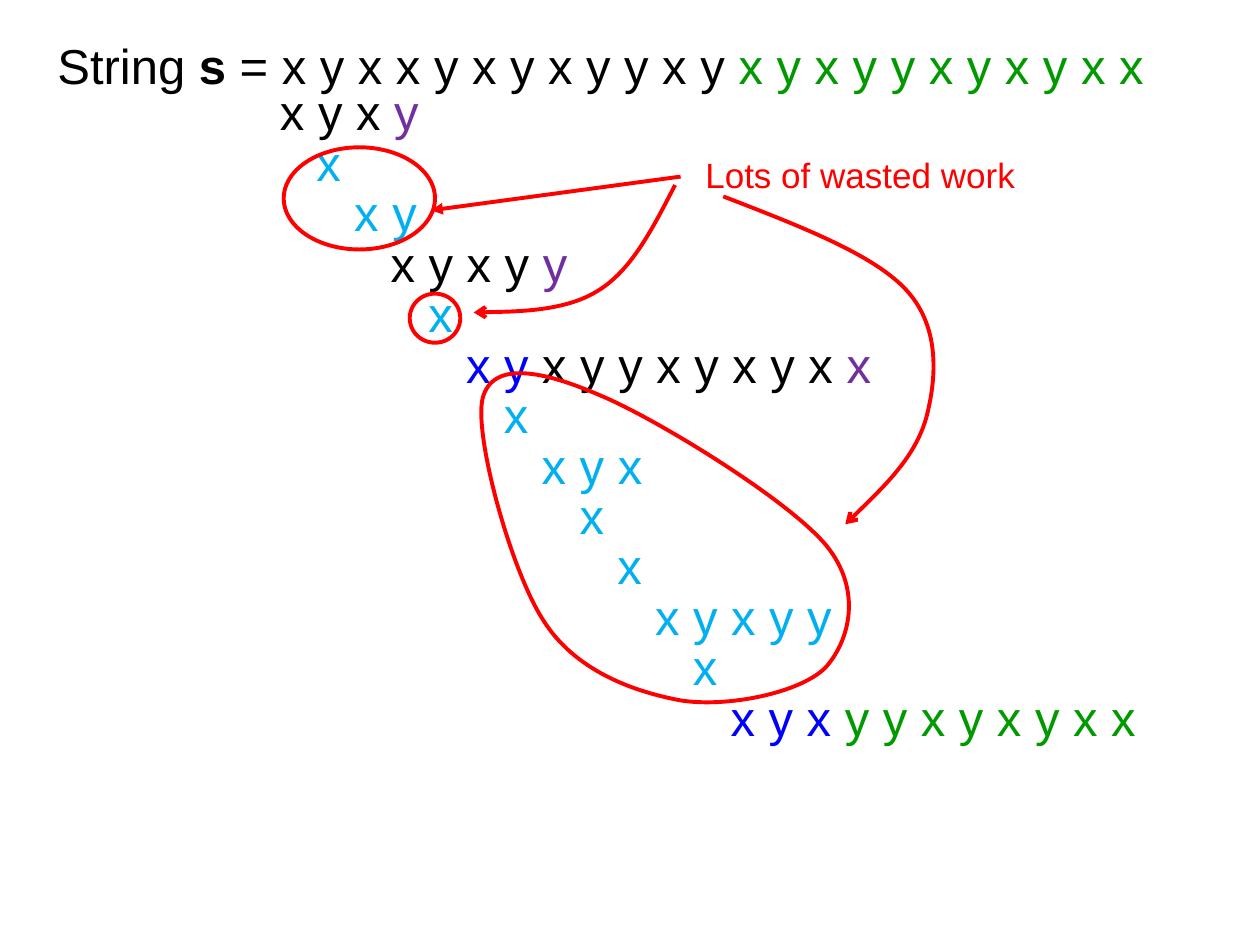
from dataclasses import dataclass

from lxml import etree
from pptx import Presentation
from pptx.dml.color import RGBColor
from pptx.enum.shapes import MSO_CONNECTOR, MSO_SHAPE
from pptx.enum.text import MSO_ANCHOR, MSO_AUTO_SIZE, PP_ALIGN
from pptx.oxml.ns import qn
from pptx.util import Cm, Pt

STRAIGHT = MSO_CONNECTOR.STRAIGHT
OVAL = MSO_SHAPE.OVAL
MIDDLE = MSO_ANCHOR.MIDDLE
GROW = MSO_AUTO_SIZE.SHAPE_TO_FIT_TEXT
LEFT, RIGHT = PP_ALIGN.LEFT, PP_ALIGN.RIGHT
BLANK_LAYOUT = 6
SAMPLES = 24


@dataclass(frozen=True)
class Theme:
    font: str = "Arial"
    string_size: float = 28
    label_size: float = 20
    line_width: float = 2.25
    plain: str = "000000"
    mismatch: str = "7030A0"
    unseen: str = "009900"
    wasted: str = "00B0F0"
    known: str = "0000FF"
    mark: str = "FF0000"


THEME = Theme()


@dataclass(frozen=True)
class Span:
    text: str
    color: str = THEME.plain
    bold: bool = False


@dataclass(frozen=True)
class Attempt:
    """One alignment of the pattern below the searched string."""
    spans: tuple[Span, ...]
    align: PP_ALIGN = LEFT


@dataclass(frozen=True)
class Curve:
    """Bezier points in cm: the start, then two handles and an end per piece."""
    points: tuple[tuple[float, float], ...]
    closed: bool = False
    arrow: bool = False


WASTED_X = Attempt((Span("x", THEME.wasted),))
TITLE = (
    Span("String "), Span("s", bold=True), Span(" = x y x x y x y x y y x y "),
    Span("x y x y y x y x y x x", THEME.unseen),
)
FIRST_ATTEMPT = (Span("x y x "), Span("y", THEME.mismatch))
ATTEMPTS = (
    Attempt((Span("x", THEME.wasted),), RIGHT),
    Attempt((Span("x y", THEME.wasted),), RIGHT),
    Attempt((Span("x y x y "), Span("y", THEME.mismatch))),
    WASTED_X,
    Attempt((Span("x y ", THEME.known), Span("x y y x y x y x "), Span("x", THEME.mismatch))),
    WASTED_X,
    Attempt((Span("x y x", THEME.wasted),)),
    WASTED_X,
    WASTED_X,
    Attempt((Span("x y x y y", THEME.wasted),)),
    WASTED_X,
    Attempt((Span("x y x ", THEME.known), Span("y y x y x y x x", THEME.unseen))),
)
STAIR_START, STAIR_END = (6.1, 2.54), (14.48, 13.72)
ONE_LETTER_WIDTH, LETTER_PITCH, ROW_HEIGHT = 1.02, 0.77, 1.45

CIRCLES = ((8.26, 5.92, 1.02, 0.99), (5.72, 2.97, 3.05, 2.06))
CURVES = (
    Curve(((13.61, 3.73), (13.16, 4.6), (12.73, 5.46), (12.04, 5.87),
           (11.35, 6.3), (9.55, 6.3), (9.55, 6.3)), arrow=True),
    Curve(((14.58, 3.96), (16.1, 4.55), (17.63, 5.13), (18.29, 5.87),
           (18.97, 6.63), (18.87, 7.67), (18.67, 8.43),
           (18.44, 9.22), (17.75, 9.88), (17.04, 10.57)), arrow=True),
    Curve(((9.73, 8.03), (9.93, 7.26), (10.95, 7.47), (12.12, 7.98),
           (13.26, 8.46), (15.9, 10.08), (16.66, 11),
           (17.4, 11.91), (17.12, 12.93), (16.64, 13.46),
           (16.13, 13.97), (14.66, 14.27), (13.72, 14.12),
           (12.75, 13.94), (11.58, 13.51), (10.95, 12.5),
           (10.29, 11.48), (9.55, 8.76), (9.73, 8.03)), closed=True),
)


def add_text(slide, spans: tuple[Span, ...], *, left: float, top: float, width: float,
             height: float = ROW_HEIGHT, size: float = THEME.string_size,
             align: PP_ALIGN = LEFT) -> None:
    box = slide.shapes.add_textbox(Cm(left), Cm(top), Cm(width), Cm(height))
    frame = box.text_frame
    frame.word_wrap = False
    frame.auto_size = GROW
    frame.vertical_anchor = MIDDLE
    para = frame.paragraphs[0]
    para.alignment = align
    for span in spans:
        run = para.add_run()
        run.text = span.text
        run.font.name = THEME.font
        run.font.size = Pt(size)
        run.font.bold = span.bold
        run.font.color.rgb = RGBColor.from_string(span.color)


def style_line(shape, arrowhead: str | None = None) -> None:
    shape.line.color.rgb = RGBColor.from_string(THEME.mark)
    shape.line.width = Pt(THEME.line_width)
    if arrowhead:
        etree.SubElement(shape.line._get_or_add_ln(), qn("a:tailEnd"), type=arrowhead)


def style_outline(shape, arrowhead: str | None = None) -> None:
    shape.shadow.inherit = False
    shape.fill.background()
    style_line(shape, arrowhead)


def add_arrow(slide, start: tuple[float, float], end: tuple[float, float]) -> None:
    arrow = slide.shapes.add_connector(STRAIGHT, *map(Cm, start + end))
    style_line(arrow, "triangle")
    etree.SubElement(arrow._element.spPr, qn("a:effectLst"))


def bezier_point(piece: list[tuple[int, int]], t: float) -> tuple[int, int]:
    weights = ((1 - t) ** 3, 3 * t * (1 - t) ** 2, 3 * t ** 2 * (1 - t), t ** 3)
    x, y = (round(sum(w * p[axis] for w, p in zip(weights, piece))) for axis in (0, 1))
    return x, y


def add_curve(slide, curve: Curve) -> None:
    """Size a freeform by points on the curve, then give it true Bezier pieces."""
    points = [(Cm(x), Cm(y)) for x, y in curve.points]
    pieces = [points[i:i + 4] for i in range(0, len(points) - 1, 3)]
    builder = slide.shapes.build_freeform(*points[0])
    builder.add_line_segments(
        [bezier_point(piece, step / SAMPLES) for piece in pieces
         for step in range(1, SAMPLES + 1)], close=curve.closed)
    shape = builder.convert_to_shape()
    outline = shape._element.find(".//" + qn("a:path"))
    for command in list(outline):
        outline.remove(command)

    def add_command(tag: str, stops: list[tuple[int, int]]) -> None:
        command = etree.SubElement(outline, qn(tag))
        for x, y in stops:
            etree.SubElement(command, qn("a:pt"), x=str(x - shape.left), y=str(y - shape.top))

    add_command("a:moveTo", points[:1])
    for piece in pieces:
        add_command("a:cubicBezTo", piece[1:])
    if curve.closed:
        add_command("a:close", [])
    style_outline(shape, "arrow" if curve.arrow else None)


def add_attempts(slide) -> None:
    """Step the attempts evenly down and to the right."""
    for index, attempt in enumerate(ATTEMPTS):
        share = index / (len(ATTEMPTS) - 1)
        left, top = (a + (b - a) * share for a, b in zip(STAIR_START, STAIR_END))
        letters = sum(len(span.text.split()) for span in attempt.spans)
        width = ONE_LETTER_WIDTH + LETTER_PITCH * (letters - 1)
        add_text(slide, attempt.spans, left=left, top=top, width=width, align=attempt.align)


def main() -> None:
    deck = Presentation()
    deck.slide_width, deck.slide_height = Cm(25.4), Cm(19.05)
    slide = deck.slides.add_slide(deck.slide_layouts[BLANK_LAYOUT])
    add_text(slide, FIRST_ATTEMPT, left=0.23, top=1.52, width=8.46, align=RIGHT)
    add_text(slide, TITLE, left=0.91, top=0.58, width=22.99)
    add_attempts(slide)
    add_text(slide, (Span("Lots of wasted work", THEME.mark),), left=13.97, top=2.97,
             width=8, height=1.09, size=THEME.label_size)
    add_arrow(slide, (13.72, 3.56), (8.69, 4.24))
    for circle in CIRCLES:
        style_outline(slide.shapes.add_shape(OVAL, *map(Cm, circle)))
    for curve in CURVES:
        add_curve(slide, curve)
    deck.save("out.pptx")


if __name__ == "__main__":
    main()
